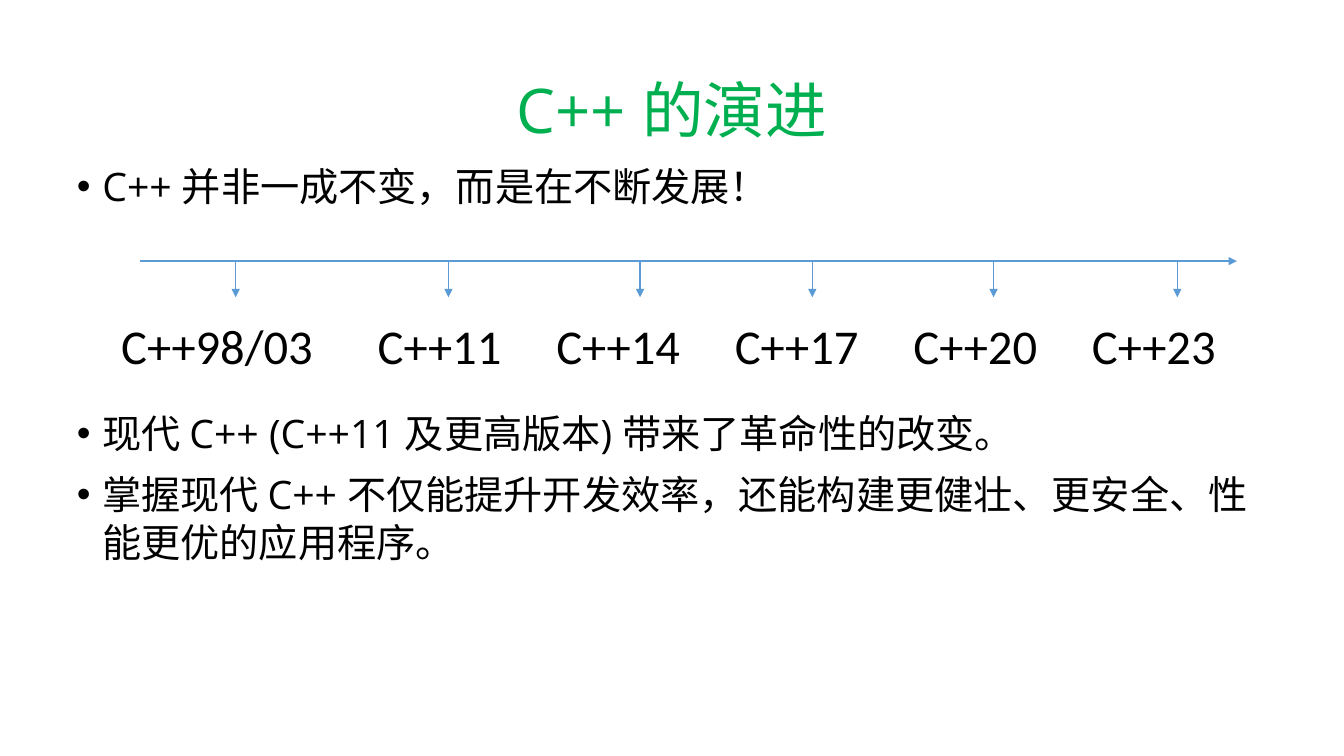
from lxml import etree
from pptx import Presentation
from pptx.dml.color import RGBColor
from pptx.enum import shapes, text
from pptx.oxml import ns
from pptx.util import Cm, Pt

COLORS = {"title": "00B050", "text": "000000", "timeline": "5B9BD5"}

AXIS_LEFT, AXIS_RIGHT, AXIS_TOP = 3.53, 31.17, 6.58
TICK_LENGTH = 0.91
LABEL_TOP, LABEL_PITCH, LABEL_START = 7.95, 4.5, 11.08
FIRST_LABEL_CENTER = 5.47

STANDARDS = [
    ("C++98/03", 5.94),
    ("C++11", 11.3),
    ("C++14", 16.13),
    ("C++17", 20.47),
    ("C++20", 25.04),
    ("C++23", 29.67),
]
INTRO = ["C++ 并非一成不变，而是在不断发展！"]
CONCLUSIONS = [
    "现代 C++ (C++11 及更高版本) 带来了革命性的改变。",
    "掌握现代 C++ 不仅能提升开发效率，还能构建更健壮、更安全、性能更优的应用程序。",
]


def add_box(page, left, top, width, height):
    box = page.shapes.add_textbox(Cm(left), Cm(top), Cm(width), Cm(height))
    box.text_frame.word_wrap = True
    return box


def format_para(para, font, size, color):
    for span in para.runs:
        span.font.name = font
        span.font.size = Pt(size)
        span.font.color.rgb = RGBColor.from_string(COLORS[color])


def add_title(page, wording):
    box = add_box(page, 2.33, 1.01, 29.21, 3.68)
    frame = box.text_frame
    frame.vertical_anchor = text.MSO_ANCHOR.MIDDLE
    frame.text = wording
    para = frame.paragraphs[0]
    para.alignment = text.PP_ALIGN.CENTER
    para.line_spacing = 0.9
    format_para(para, "Open Sans", 44, "title")


def add_bullets(page, top, height, points):
    frame = add_box(page, 1.69, top, 30.48, height).text_frame
    frame.text = "\n".join(points)
    for para in frame.paragraphs:
        format_para(para, "Open Sans", 28, "text")
        para.line_spacing = 1.0
        if para.text != points[0]:
            para.space_before = Pt(10)
        settings = para._p.get_or_add_pPr()
        settings.set("marL", str(Cm(0.64)))
        settings.set("indent", str(-Cm(0.64)))
        font = etree.SubElement(settings, ns.qn("a:buFont"))
        font.set("typeface", "Arial")
        bullet = etree.SubElement(settings, ns.qn("a:buChar"))
        bullet.set("char", "•")


def add_arrow(page, left, top, right, bottom):
    arrow = page.shapes.add_connector(
        shapes.MSO_CONNECTOR.STRAIGHT, Cm(left), Cm(top), Cm(right), Cm(bottom)
    )
    arrow.line.color.rgb = RGBColor.from_string(COLORS["timeline"])
    arrow.line.width = Pt(1)
    head = etree.SubElement(arrow.line._get_or_add_ln(), ns.qn("a:tailEnd"))
    head.set("type", "triangle")
    etree.SubElement(arrow._element.spPr, ns.qn("a:effectLst"))


def add_label(page, center, wording):
    width = 5.6 if len(wording) > 5 else 4.4
    frame = add_box(page, center - width / 2, LABEL_TOP, width, 1.6).text_frame
    frame.margin_left = frame.margin_right = 0
    frame.margin_top = frame.margin_bottom = 0
    frame.text = wording
    para = frame.paragraphs[0]
    para.alignment = text.PP_ALIGN.CENTER
    format_para(para, "Calibri", 34.7, "text")


def add_timeline(page):
    add_arrow(page, AXIS_LEFT, AXIS_TOP, AXIS_RIGHT, AXIS_TOP)
    for index, (standard, tick) in enumerate(STANDARDS):
        add_arrow(page, tick, AXIS_TOP, tick, AXIS_TOP + TICK_LENGTH)
        center = LABEL_START + (index - 1) * LABEL_PITCH if index else FIRST_LABEL_CENTER
        add_label(page, center, standard)


def main():
    deck = Presentation()
    deck.slide_width, deck.slide_height = Cm(33.87), Cm(19.05)
    page = deck.slides.add_slide(deck.slide_layouts[6])
    add_title(page, "C++ 的演进")
    add_bullets(page, 3.96, 1.8, INTRO)
    add_timeline(page)
    add_bullets(page, 10.2, 5.2, CONCLUSIONS)
    deck.save("out.pptx")


if __name__ == "__main__":
    main()
